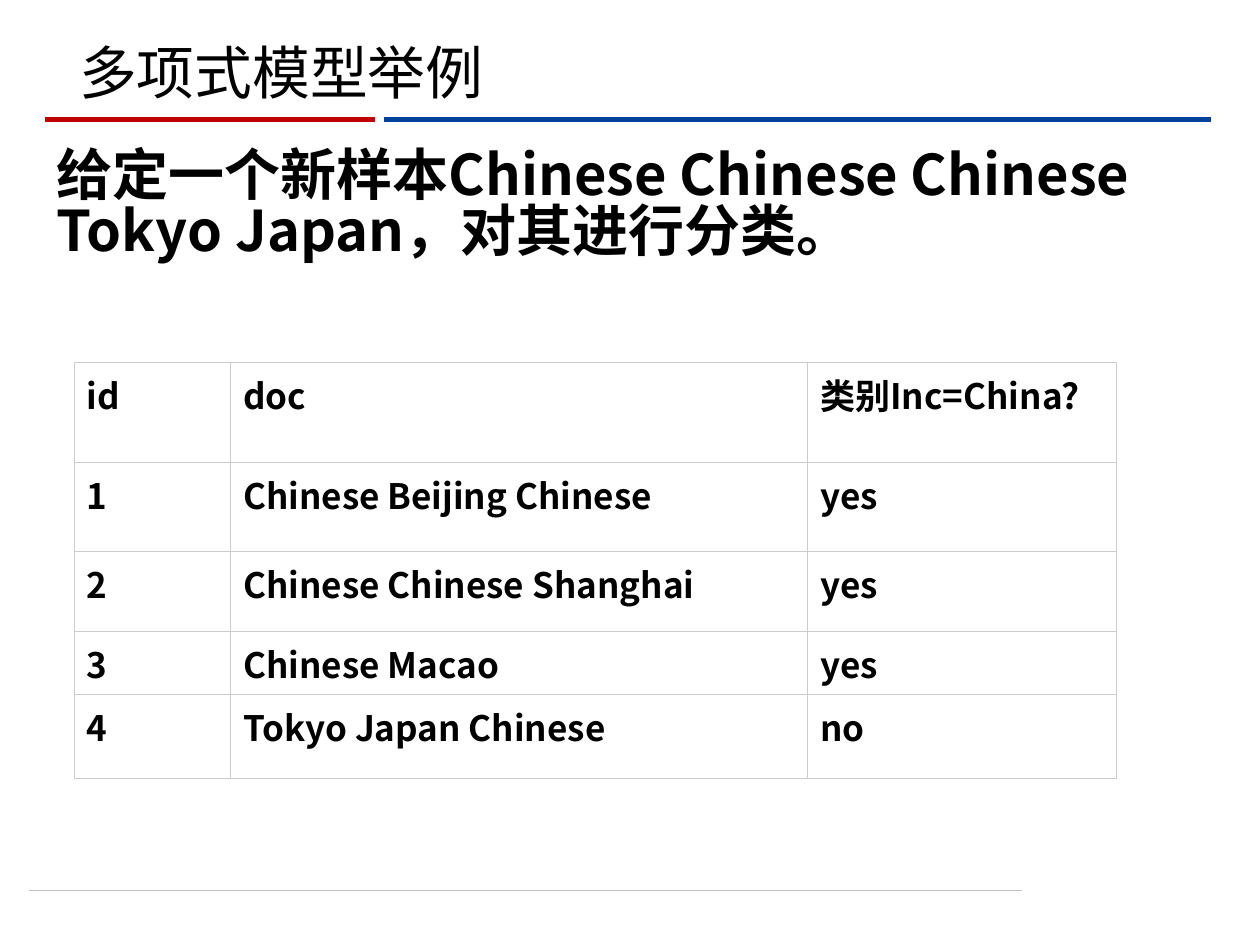
from typing import NamedTuple

from lxml import etree
from pptx import Presentation, util as u
from pptx.dml.color import RGBColor
from pptx.enum import shapes, text
from pptx.oxml import ns

COLORS = {"ink": "000000", "paper": "FFFFFF", "red": "C00000",
          "blue": "004299", "rule": "BFBFBF", "border": "CCCCCC"}
WIDTH, HEIGHT = u.Inches(10), u.Inches(7.5)
HEAD_FONT, BODY_FONT = "Roboto", "Noto Sans CJK SC"


class Rule(NamedTuple):
    x1: float
    x2: float
    y: float
    color: str
    weight: float


class Style(NamedTuple):
    font: str
    size: float
    bold: bool = False
    line_spacing: float | None = None


class Block(NamedTuple):
    x: float
    y: float
    w: float
    h: float
    words: str
    style: Style
    anchor: text.MSO_ANCHOR


RULES = [
    Rule(0.023, 0.811, 7.07 / 7.5, "rule", 0.5),
    Rule(0.305, 0.961, 0.95 / 7.5, "blue", 3),
    Rule(0.036, 0.298, 0.95 / 7.5, "red", 3),
]
BLOCKS = [
    Block(0.053, 0.29 / 7.5, 0.85, 0.62 / 7.5, "多项式模型举例",
          Style(HEAD_FONT, 33, line_spacing=0.9), text.MSO_ANCHOR.MIDDLE),
    Block(0.035, 1.15 / 7.5, 0.913, 1.18 / 7.5,
          "给定一个新样本Chinese Chinese Chinese Tokyo Japan，对其进行分类。",
          Style(BODY_FONT, 32, True, 0.83), text.MSO_ANCHOR.TOP),
]
CELL_STYLE = Style(BODY_FONT, 20, True)
COLUMNS = [0.124, 0.458, 0.245]
ROWS = [0.79 / 7.5, 0.71 / 7.5, 0.63 / 7.5, 0.5 / 7.5, 0.67 / 7.5]
SAMPLES = [
    ("id", "doc", "类别Inc=China?"),
    ("1", "Chinese Beijing Chinese", "yes"),
    ("2", "Chinese Chinese Shanghai", "yes"),
    ("3", "Chinese Macao", "yes"),
    ("4", "Tokyo Japan Chinese", "no"),
]


def rgb(name: str) -> RGBColor:
    return RGBColor.from_string(COLORS[name])


def across(share: float) -> int:
    return round(WIDTH * share)


def down(share: float) -> int:
    return round(HEIGHT * share)


def write(tf, words: str, style: Style) -> None:
    p = tf.paragraphs[0]
    p.line_spacing = style.line_spacing
    r = p.add_run()
    r.text = words
    r.font.name, r.font.size, r.font.bold = style.font, u.Pt(style.size), style.bold
    r.font.color.rgb = rgb("ink")
    etree.SubElement(r.font._element, ns.qn("a:ea"), typeface=style.font)


def draw_rule(s, rule: Rule) -> None:
    line = s.shapes.add_connector(shapes.MSO_CONNECTOR.STRAIGHT, across(rule.x1),
                                  down(rule.y), across(rule.x2), down(rule.y))
    line.line.color.rgb = rgb(rule.color)
    line.line.width = u.Pt(rule.weight)
    etree.SubElement(line._element.spPr, ns.qn("a:effectLst"))


def draw_block(s, block: Block) -> None:
    sp = s.shapes.add_textbox(across(block.x), down(block.y),
                              across(block.w), down(block.h))
    tf = sp.text_frame
    tf.word_wrap = True
    tf.vertical_anchor = block.anchor
    write(tf, block.words, block.style)


def outline(cell) -> None:
    tcPr = cell._tc.get_or_add_tcPr()
    for i, side in enumerate(("lnL", "lnR", "lnT", "lnB")):
        ln = etree.Element(ns.qn(f"a:{side}"), w=str(u.Pt(0.75)))
        fill = etree.SubElement(ln, ns.qn("a:solidFill"))
        etree.SubElement(fill, ns.qn("a:srgbClr"), val=COLORS["border"])
        tcPr.insert(i, ln)


def draw_table(s, x: float, y: float) -> None:
    table = s.shapes.add_table(len(ROWS), len(COLUMNS), across(x), down(y),
                               across(sum(COLUMNS)), down(sum(ROWS))).table
    for column, share in zip(table.columns, COLUMNS):
        column.width = across(share)
    for row, share, sample in zip(table.rows, ROWS, SAMPLES):
        row.height = down(share)
        for cell, words in zip(row.cells, sample):
            cell.fill.solid()
            cell.fill.fore_color.rgb = rgb("paper")
            outline(cell)
            write(cell.text_frame, words, CELL_STYLE)


def main() -> None:
    prs = Presentation()
    prs.slide_width, prs.slide_height = WIDTH, HEIGHT
    s = prs.slides.add_slide(prs.slide_layouts[6])
    for rule in RULES:
        draw_rule(s, rule)
    title, task = BLOCKS
    draw_block(s, title)
    draw_table(s, 0.059, 2.88 / 7.5)
    draw_block(s, task)
    prs.save("out.pptx")


if __name__ == "__main__":
    main()
